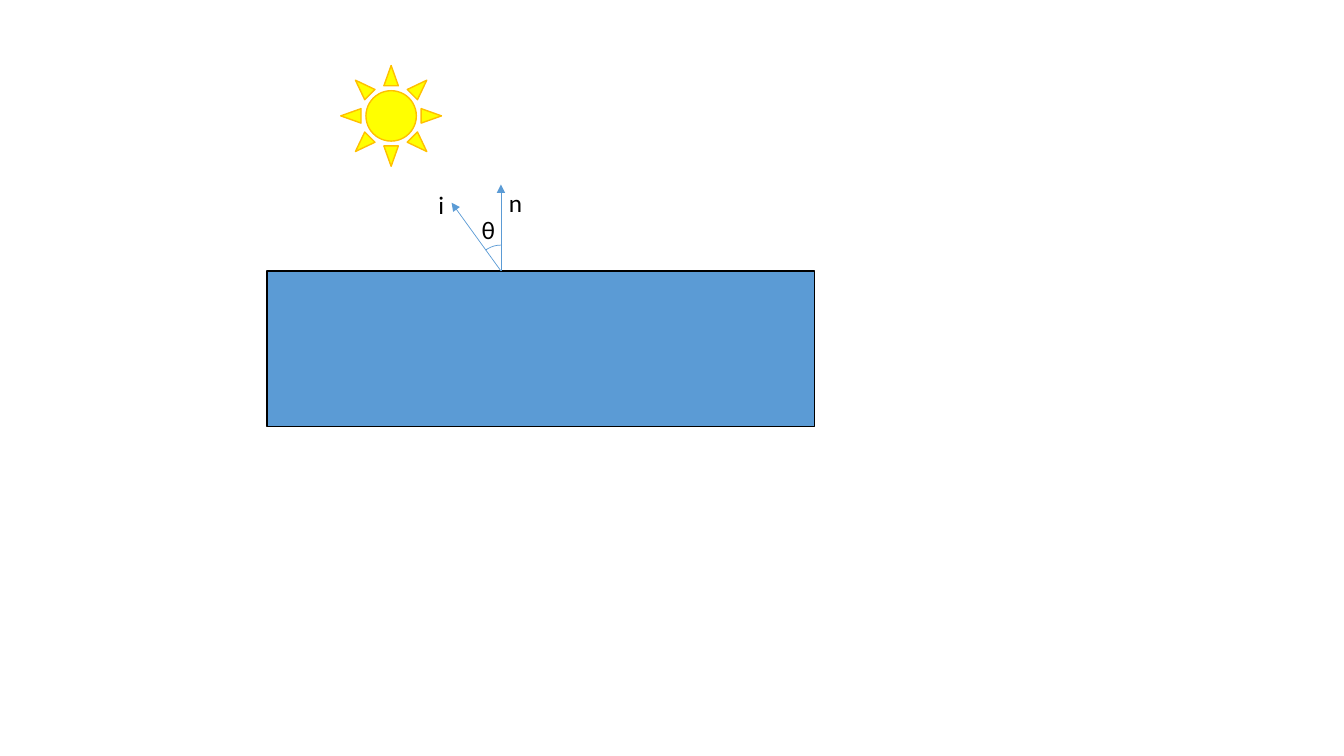
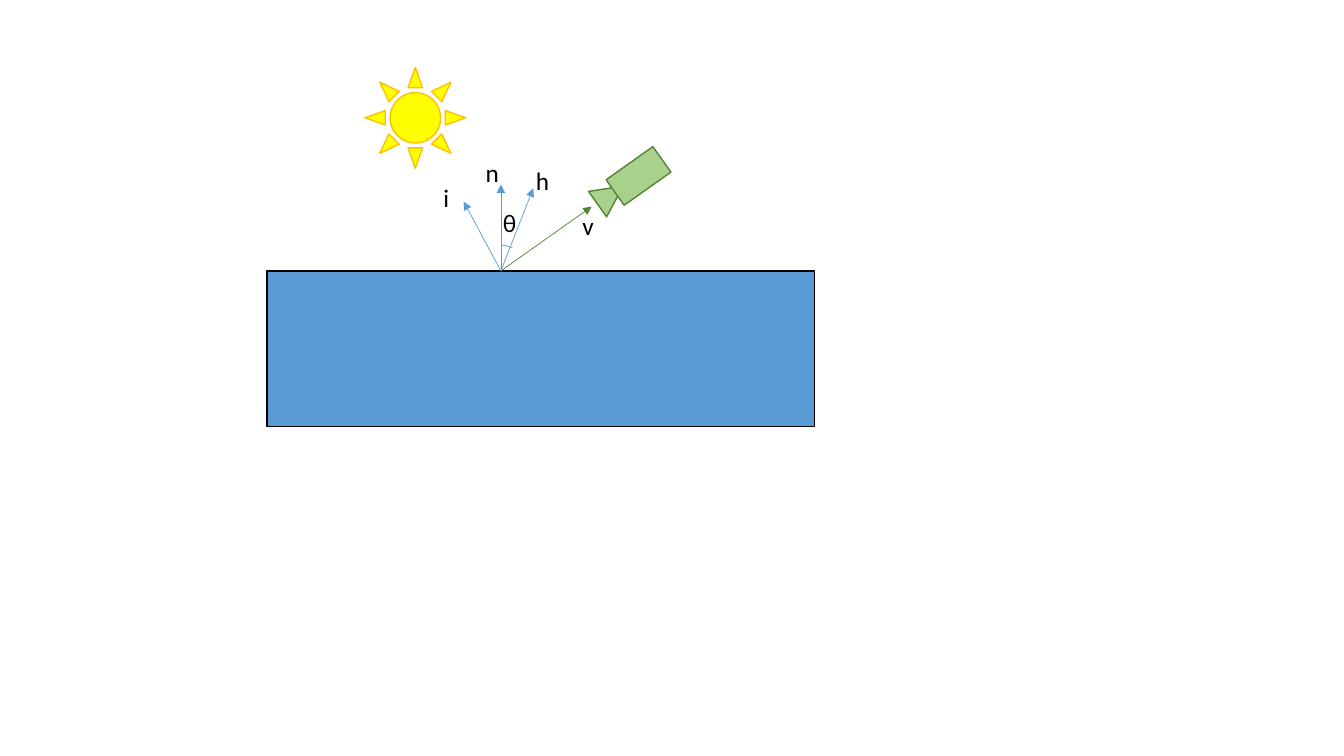
"""Two diagrams of light directions at a surface point."""
from lxml import etree
from pptx import Presentation
from pptx.dml.color import RGBColor
from pptx.enum.shapes import MSO_CONNECTOR, MSO_SHAPE
from pptx.enum.text import MSO_AUTO_SIZE
from pptx.oxml.ns import qn
from pptx.util import Pt

RECTANGLE = MSO_SHAPE.RECTANGLE
TRIANGLE = MSO_SHAPE.ISOSCELES_TRIANGLE
SUN = MSO_SHAPE.SUN
ARC = MSO_SHAPE.ARC
STRAIGHT = MSO_CONNECTOR.STRAIGHT
FIT_SHAPE = MSO_AUTO_SIZE.SHAPE_TO_FIT_TEXT

BLUE, BLACK = "5B9BD5", "000000"
YELLOW, GOLD = "FFFF00", "FFC000"
LIGHT_GREEN, GREEN = "A9D18E", "548235"
VERTEX_X, VERTEX_Y = 357.8, 193.5
ARC_RADIUS = 18.4
DEGREE = 0.6

DIAGRAMS = [
    {
        "sun": (243.4, 46.8),
        "angle": (233.65, 270.88),
        "arrows": [(357.8, 131.8, BLUE), (322.6, 144.8, BLUE)],
        "labels": [("θ", 337, 149.8, 24.5), ("n", 356.4, 130.3, 24.5),
                   ("i", 306, 131.8, 18.7)],
        "camera": [],
    },
    {
        "sun": (260.7, 48.2),
        "angle": (269.98, 296.65),
        "arrows": [(357.8, 131.8, BLUE), (331.2, 144, BLUE),
                   (422.6, 147.6, GREEN), (380.9, 134.6, BLUE)],
        "labels": [("n", 339.8, 108.7, 24.5), ("i", 309.6, 126.7, 18.7),
                   ("θ", 352.1, 144.7, 24.5), ("h", 375.8, 114.5, 24.5),
                   ("v", 409, 146.9, 23.8)],
        "camera": [(TRIANGLE, 424.8, 128.2, 22.3, 22.3, 54.7),
                   (RECTANGLE, 435.6, 114.5, 41, 22.3, 324.7)],
    },
]


def color(code):
    return RGBColor.from_string(code)


def add_figure(shapes, kind, box, fill, line, weight=1):
    figure = shapes.add_shape(kind, *[Pt(length) for length in box])
    figure.shadow.inherit = False
    if fill:
        figure.fill.solid()
        figure.fill.fore_color.rgb = color(fill)
    else:
        figure.fill.background()
    figure.line.color.rgb = color(line)
    figure.line.width = Pt(weight)
    return figure


prs = Presentation()
prs.slide_width, prs.slide_height = Pt(960), Pt(540)

for diagram in DIAGRAMS:
    shapes = prs.slides.add_slide(prs.slide_layouts[6]).shapes
    add_figure(shapes, RECTANGLE, (190.8, 193.5, 391, 111), BLUE, BLACK)
    add_figure(shapes, SUN, (*diagram["sun"], 72, 72), YELLOW, GOLD)

    for tip_x, tip_y, hue in diagram["arrows"]:
        ray = shapes.add_connector(STRAIGHT, Pt(VERTEX_X), Pt(VERTEX_Y), Pt(tip_x), Pt(tip_y))
        ray.line.color.rgb = color(hue)
        ray.line.width = Pt(0.5)
        etree.SubElement(ray.line._get_or_add_ln(), qn("a:tailEnd"), type="triangle")
        etree.SubElement(ray._element.spPr, qn("a:effectLst"))

    arc_box = (VERTEX_X - ARC_RADIUS, VERTEX_Y - ARC_RADIUS, 2 * ARC_RADIUS, 2 * ARC_RADIUS)
    angle = add_figure(shapes, ARC, arc_box, None, BLUE, 0.5)
    for index, degrees in enumerate(diagram["angle"]):
        angle.adjustments[index] = degrees * DEGREE

    if diagram["camera"]:
        camera = shapes.add_group_shape()
        for kind, left, top, width, height, rotation in diagram["camera"]:
            part = add_figure(camera.shapes, kind, (left, top, width, height), LIGHT_GREEN, GREEN)
            part.rotation = rotation

    for symbol, left, top, width in diagram["labels"]:
        label = shapes.add_textbox(Pt(left), Pt(top), Pt(width), Pt(29))
        frame = label.text_frame
        frame.word_wrap = False
        frame.auto_size = FIT_SHAPE
        frame.text = symbol
        font = frame.paragraphs[0].runs[0].font
        font.name = "Calibri"
        font.size = Pt(18)
        font.color.rgb = color(BLACK)

prs.save("out.pptx")
